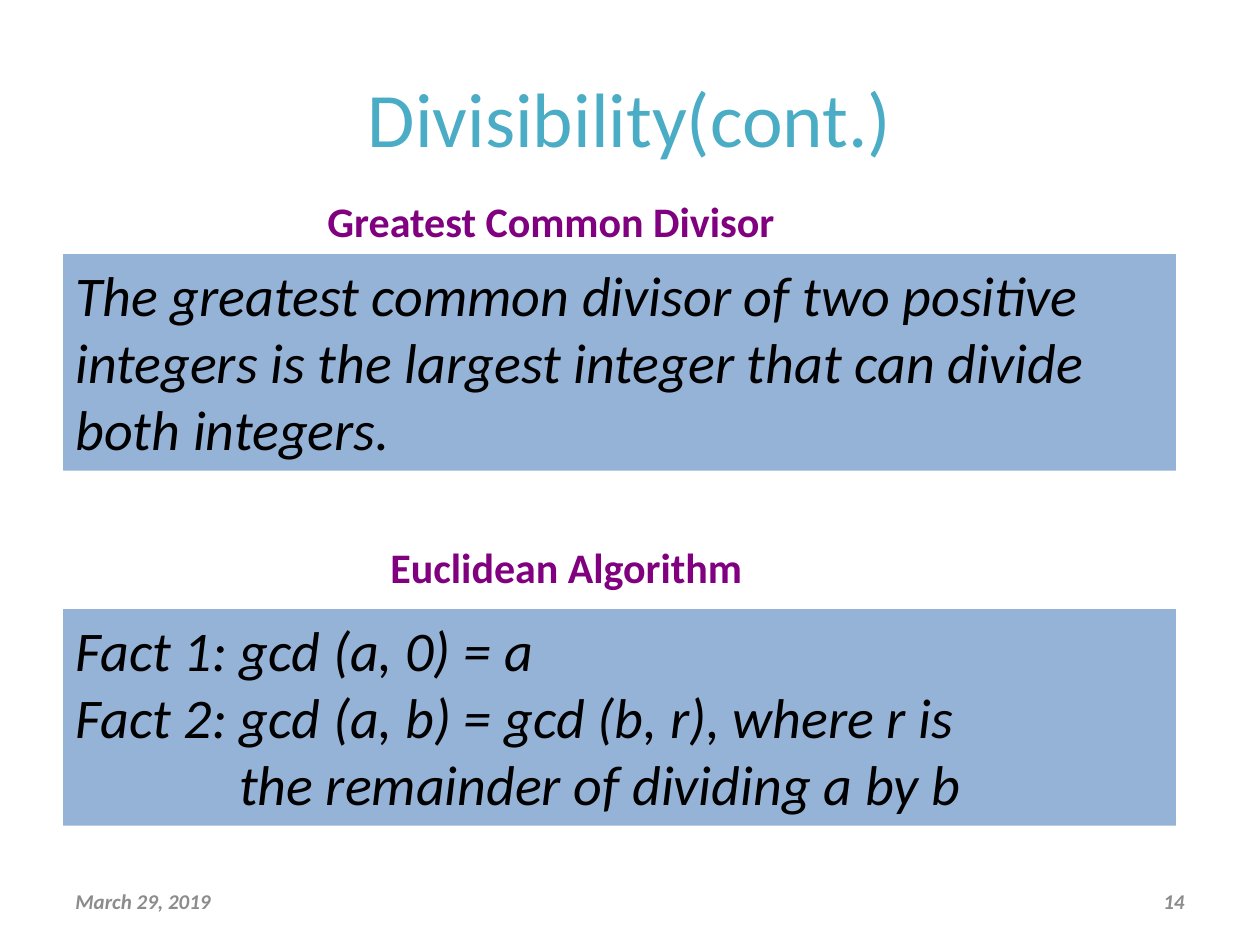
import pptx
import pptx.dml.color
import pptx.enum.shapes
import pptx.enum.text
import pptx.util

Pt = pptx.util.Pt
ALIGN = pptx.enum.text.PP_ALIGN
ANCHOR = pptx.enum.text.MSO_ANCHOR


def color(value):
    return pptx.dml.color.RGBColor.from_string(value)


class SlideBuilder:
    """Holds the style and the current page, and adds each kind of element."""

    font_name = "Calibri"
    title_color = "4BACC6"
    heading_color = "800080"
    panel_color = "95B3D7"
    body_color = "000000"
    footer_color = "8C8C8C"

    def __init__(self, page):
        self.page = page

    def fill_text(self, box, lines, size, ink, bold=False, italic=False,
                  align=ALIGN.LEFT, anchor=ANCHOR.TOP, wrap=True):
        frame = box.text_frame
        frame.word_wrap = wrap
        frame.vertical_anchor = anchor
        for index, line in enumerate(lines):
            para = frame.paragraphs[0] if index == 0 else frame.add_paragraph()
            para.text = line
            para.alignment = align
            para.font.name = self.font_name
            para.font.size = Pt(size)
            para.font.bold = bold
            para.font.italic = italic
            para.font.color.rgb = color(ink)
        return frame

    def text_box(self, left, top, width, height):
        return self.page.shapes.add_textbox(Pt(left), Pt(top), Pt(width), Pt(height))

    def title(self, text):
        box = self.text_box(36, 21.6, 648, 90)
        self.fill_text(box, [text], 44, self.title_color,
                       align=ALIGN.CENTER, anchor=ANCHOR.MIDDLE)

    def heading(self, text, left, top, width):
        box = self.text_box(left, top, width, 36)
        self.fill_text(box, [text], 24, self.heading_color, bold=True, wrap=False)

    def panel(self, lines, top, hanging=0):
        box = self.page.shapes.add_shape(
            pptx.enum.shapes.MSO_SHAPE.RECTANGLE, Pt(36), Pt(top), Pt(636), Pt(123.8))
        box.shadow.inherit = False
        box.fill.solid()
        box.fill.fore_color.rgb = color(self.panel_color)
        box.line.fill.background()
        frame = self.fill_text(box, lines, 32, self.body_color, italic=True)
        if hanging:
            for para in frame.paragraphs:
                properties = para._p.get_or_add_pPr()
                properties.set("marL", str(Pt(hanging)))
                properties.set("indent", str(-Pt(hanging)))

    def footer(self, text, left, align):
        box = self.text_box(left, 500.4, 168, 28.8)
        self.fill_text(box, [text], 12, self.footer_color, bold=True, italic=True,
                       align=align, anchor=ANCHOR.MIDDLE)


def main():
    deck = pptx.Presentation()
    deck.slide_width, deck.slide_height = Pt(720), Pt(540)
    builder = SlideBuilder(deck.slides.add_slide(deck.slide_layouts[6]))
    builder.title("Divisibility(cont.)")
    builder.heading("Greatest Common Divisor", 180, 108, 273)
    builder.panel(["The greatest common divisor of two positive integers is "
                   "the largest integer that can divide both integers."], 145.2)
    builder.heading("Euclidean Algorithm", 216, 306, 217.5)
    builder.panel(["Fact 1: gcd (a, 0) = a",
                   "Fact 2: gcd (a, b) = gcd (b, r), where r is\v"
                   "the remainder of dividing a by b"], 348, hanging=93.5)
    builder.footer("March 29, 2019", 36, ALIGN.LEFT)
    builder.footer("14", 516, ALIGN.RIGHT)
    deck.save("out.pptx")


if __name__ == "__main__":
    main()
